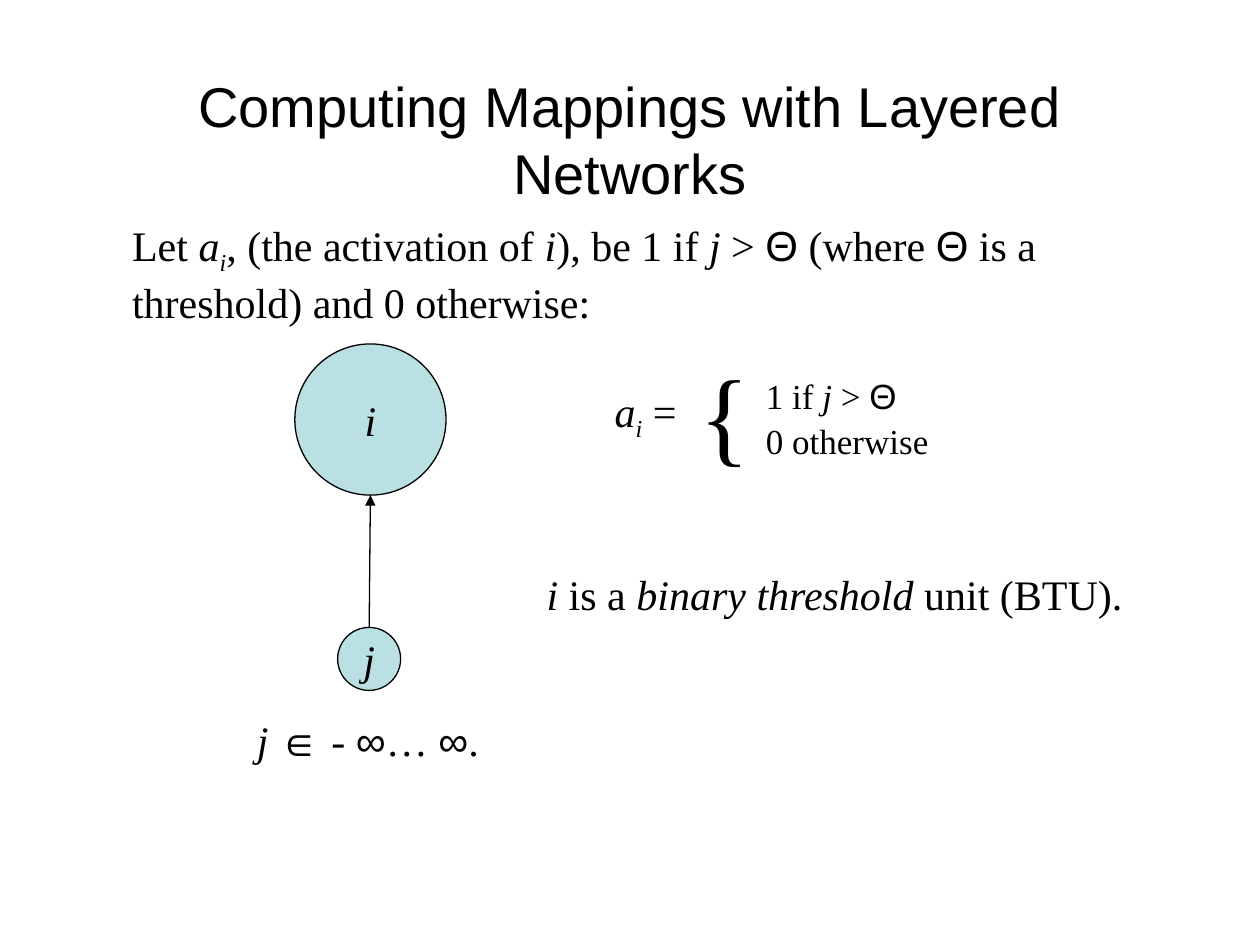
from lxml import etree
from pptx import Presentation
from pptx import util as u
from pptx.dml.color import RGBColor
from pptx.enum import shapes, text
from pptx.oxml.ns import qn

BLACK = RGBColor(0, 0, 0)
PALE = RGBColor(0xBB, 0xE0, 0xE3)
SERIF = "Times New Roman"
SANS = "Arial"


def place(*nums):
    return [u.Inches(n) for n in nums]


def write(para, runs, size, face=SERIF):
    para.font.size = u.Pt(size)
    para.font.name = face
    para.font.color.rgb = BLACK
    for words, style in runs:
        run = para.add_run()
        run.text = words
        font = run.font
        font.size = u.Pt(size)
        font.name = SANS if style == "sans" else face
        font.color.rgb = BLACK
        if style in ("ital", "sub"):
            font.italic = True
        if style == "sub":
            run._r.get_or_add_rPr().set("baseline", "-25000")


def add_text(tree, box, lines, size=24, face=SERIF):
    shape = tree.add_textbox(*place(*box))
    frame = shape.text_frame
    frame.word_wrap = True
    for n, runs in enumerate(lines):
        para = frame.add_paragraph() if n else frame.paragraphs[0]
        write(para, runs, size, face)
    return frame


def add_unit(tree, left, top, side, name):
    unit = tree.add_shape(shapes.MSO_SHAPE.OVAL, *place(left, top, side, side))
    unit.shadow.inherit = False
    unit.fill.solid()
    unit.fill.fore_color.rgb = PALE
    unit.line.color.rgb = BLACK
    unit.line.width = u.Pt(0.75)
    frame = unit.text_frame
    frame.word_wrap = False
    frame.vertical_anchor = text.MSO_ANCHOR.MIDDLE
    para = frame.paragraphs[0]
    para.alignment = text.PP_ALIGN.CENTER
    write(para, [(name, "ital")], 24)


def add_arrow(tree, *ends):
    arrow = tree.add_connector(shapes.MSO_CONNECTOR.STRAIGHT, *place(*ends))
    arrow.line.color.rgb = BLACK
    arrow.line.width = u.Pt(0.75)
    etree.SubElement(arrow.line._get_or_add_ln(), qn("a:tailEnd"), type="triangle")
    etree.SubElement(arrow._element.spPr, qn("a:effectLst"))


def add_title(tree, words):
    frame = add_text(tree, (0.75, 0.67, 8.5, 0.86), [[(words, "")]], 32, SANS)
    frame.vertical_anchor = text.MSO_ANCHOR.MIDDLE
    frame.paragraphs[0].alignment = text.PP_ALIGN.CENTER


def add_rule(tree):
    group = tree.add_group_shape().shapes
    add_text(group, (4.78, 3.01, 0.73, 0.56),
             [[("a", "ital"), ("i", "sub"), (" =", "")]])
    add_text(group, (5.45, 2.72, 0.31, 1.1), [[("{", "")]], 60)
    cases = add_text(group, (5.98, 2.92, 1.58, 0.78), [
        [("1 if ", ""), ("j", "ital"), (" > ", ""), ("Θ", "sans")],
        [("0 otherwise", "")]], 20)
    last = cases.paragraphs[1]
    last.line_spacing = 0.5
    last.space_before = u.Pt(12.5)


def main():
    deck = Presentation()
    deck.slide_width, deck.slide_height = place(10, 7.5)
    tree = deck.slides.add_slide(deck.slide_layouts[6]).shapes
    add_title(tree, "Computing Mappings with Layered Networks")
    add_unit(tree, 2.34, 2.73, 1.2, "i")
    add_arrow(tree, 2.93, 4.98, 2.94, 3.93)
    add_unit(tree, 2.68, 4.98, 0.5, "j")
    add_text(tree, (0.95, 1.69, 8.05, 0.96), [[
        ("Let ", ""), ("a", "ital"), ("i", "sub"),
        (", (the activation of ", ""), ("i", "ital"), ("), be 1 if ", ""),
        ("j", "ital"), (" > ", ""), ("Θ", "sans"), (" (where ", ""),
        ("Θ", "sans"), (" is a threshold) and 0 otherwise:", "")]])
    add_text(tree, (1.94, 5.62, 2.04, 0.5), [[
        ("j ", "ital"), ("∈", "sans"), (" - ", ""), ("∞", "sans"),
        ("… ", ""), ("∞", "sans"), (".", "")]])
    add_rule(tree)
    add_text(tree, (4.24, 4.46, 5.07, 0.5), [[
        ("i", "ital"), (" is a ", ""), ("binary threshold", "ital"),
        (" unit (BTU).", "")]])
    deck.save("out.pptx")


if __name__ == "__main__":
    main()
